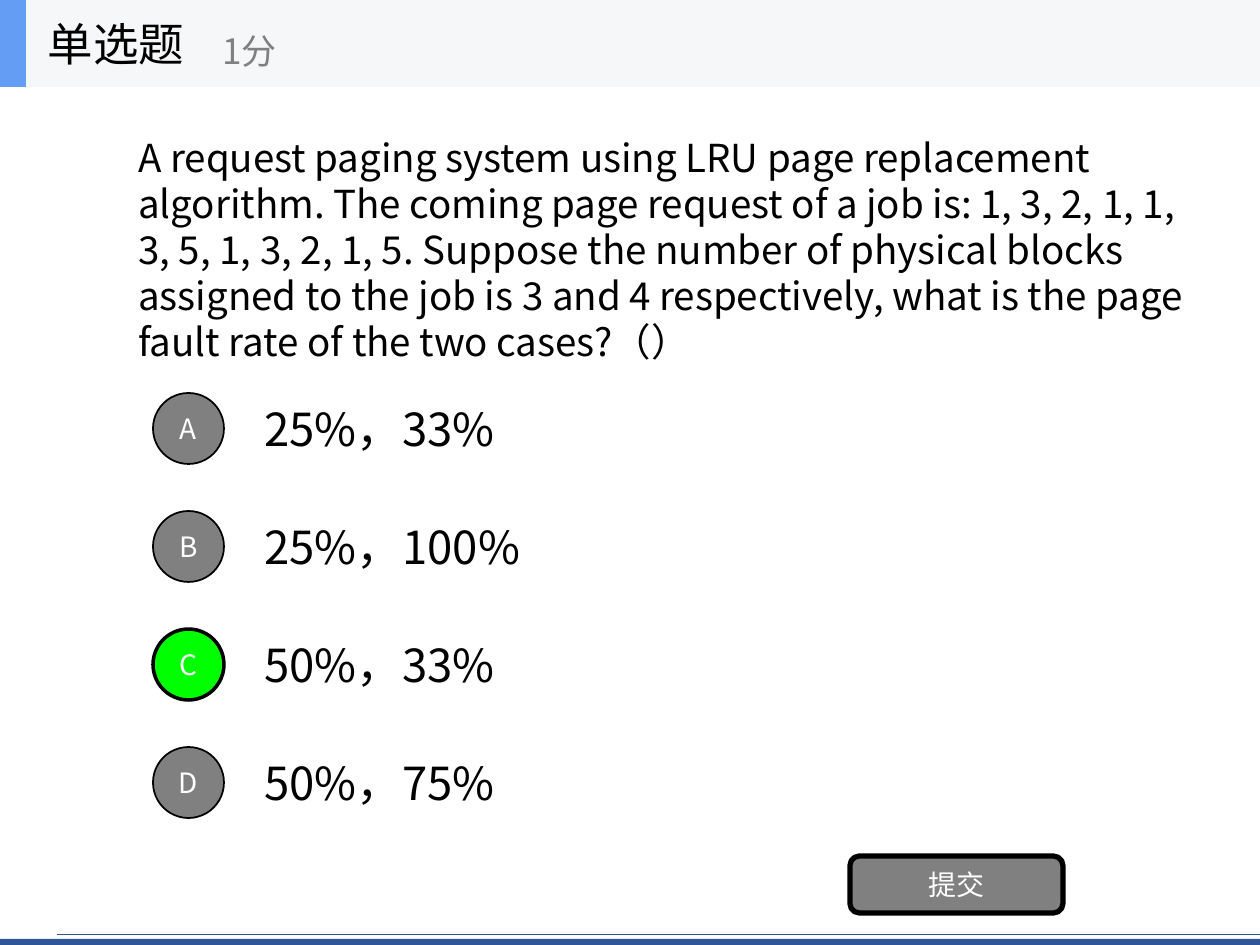
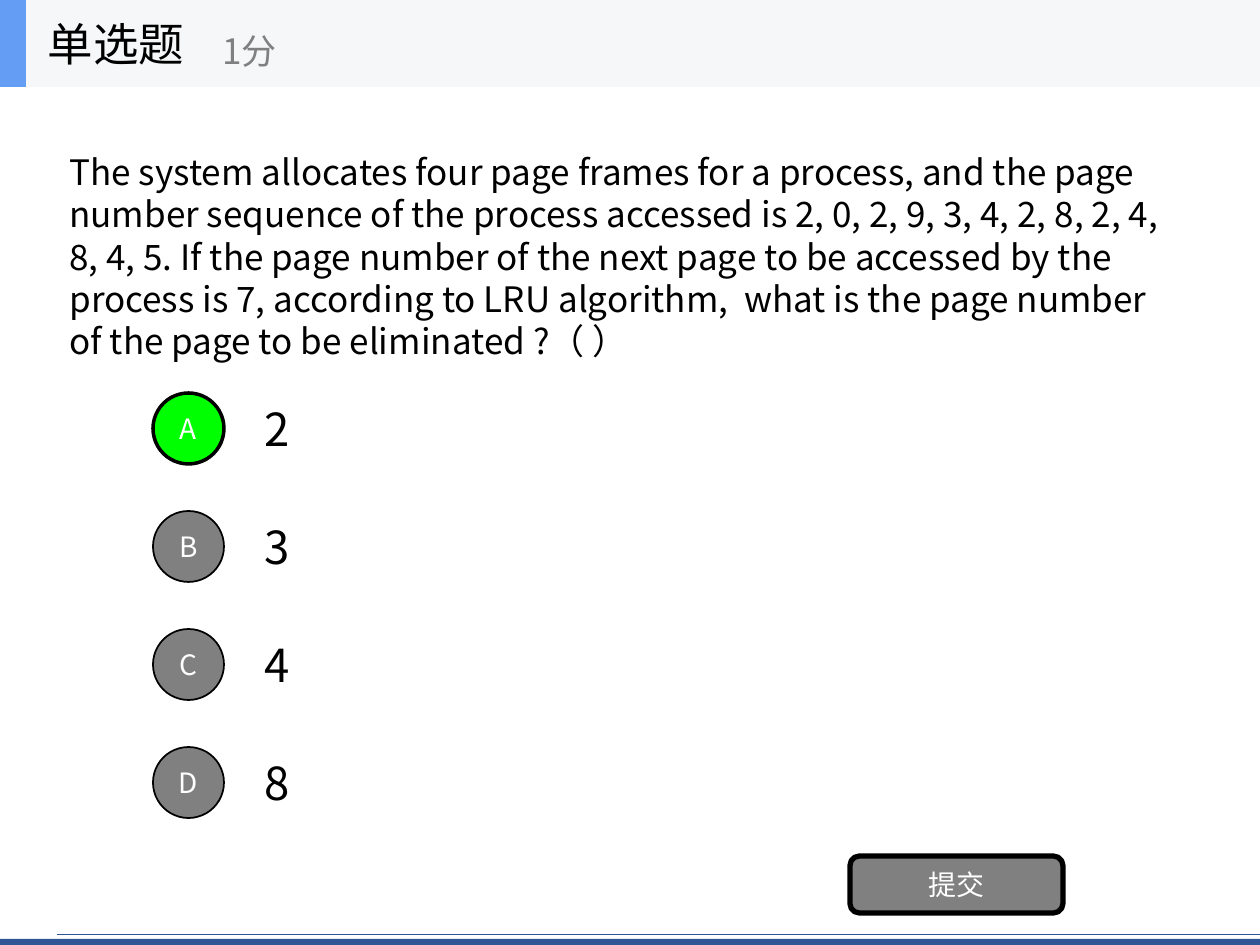
from lxml.etree import SubElement
from pptx import Presentation
from pptx.dml.color import RGBColor
from pptx.enum.shapes import MSO_CONNECTOR as LINK, MSO_SHAPE as SHAPE
from pptx.enum.text import MSO_ANCHOR as ANCHOR, MSO_AUTO_SIZE as FIT, PP_ALIGN as ALIGN
from pptx.oxml.ns import qn
from pptx.util import Inches, Pt

PX = Inches(10) / 1260
FONT = "Noto Sans CJK SC"
BLACK = RGBColor(0x00, 0x00, 0x00)
WHITE = RGBColor(0xFF, 0xFF, 0xFF)
GRAY = RGBColor(0x80, 0x80, 0x80)
GREEN = RGBColor(0x00, 0xFF, 0x00)
PALE = RGBColor(0xF6, 0xF7, 0xF8)
BLUE = RGBColor(0x63, 0x9E, 0xF4)
NAVY = RGBColor(0x2F, 0x55, 0x97)

HEAD = 87    # header height
TOP = 384    # first option
STEP = 118   # option pitch
ROW = 88     # option height
DOT = 71     # letter circle

QUIZ = [
    {
        "ask": "A request paging system using LRU page replacement algorithm. "
               "The coming page request of a job is: 1, 3, 2, 1, 1, 3, 5, 1, 3, 2, 1, 5. "
               "Suppose the number of physical blocks assigned to the job is 3 and 4 "
               "respectively, what is the page fault rate of the two cases?（）",
        "area": (126, 87, 1071, 324),
        "size": 22,
        "options": ["25%，33%", "25%，100%", "50%，33%", "50%，75%"],
        "key": "C",
    },
    {
        "ask": "The system allocates four page frames for a process, and the page number "
               "sequence of the process accessed is 2, 0, 2, 9, 3, 4, 2, 8, 2, 4, 8, 4, 5. "
               "If the page number of the next page to be accessed by the process is 7, "
               "according to LRU algorithm,  what is the page number of the page to be "
               "eliminated ?（ ）",
        "area": (57, 93, 1133, 326),
        "size": 20,
        "options": ["2", "3", "4", "8"],
        "key": "A",
    },
]


def write(shape, text, size, color=BLACK, align=ALIGN.LEFT):
    frame = shape.text_frame
    frame.word_wrap = True
    frame.auto_size = FIT.NONE
    frame.vertical_anchor = ANCHOR.MIDDLE
    para = frame.paragraphs[0]
    para.alignment = align
    run = para.add_run()
    run.text = text
    run.font.size = Pt(size)
    run.font.color.rgb = color
    run.font.name = FONT
    SubElement(run.font._element, qn("a:ea")).set("typeface", FONT)
    return para


def block(shapes, kind, area, fill, edge=0):
    """Add a filled shape, outlined in black when edge is given in points."""
    shape = shapes.add_shape(kind, *[round(v * PX) for v in area])
    shape.shadow.inherit = False
    shape.fill.solid()
    shape.fill.fore_color.rgb = fill
    if edge:
        shape.line.color.rgb = BLACK
        shape.line.width = Pt(edge)
    else:
        shape.line.fill.background()
    return shape


deck = Presentation()
deck.slide_width, deck.slide_height = Inches(10), Inches(7.5)
layout = deck.slide_layouts[5]
slides = [deck.slides.add_slide(layout) for quiz in QUIZ]

# Bands shared by all slides: drawn once, then moved to the layout
shapes = slides[0].shapes
rule = shapes.add_connector(LINK.STRAIGHT, *[round(v * PX) for v in (57, 934, 1260, 934)])
rule.line.color.rgb = NAVY
rule.line.width = Pt(0.5)
SubElement(rule.element.spPr, qn("a:effectLst"))
bands = [
    block(shapes, SHAPE.RECTANGLE, (0, 939, 1260, 6), NAVY),
    rule,
    block(shapes, SHAPE.RECTANGLE, (0, 0, 1260, HEAD), PALE),
    block(shapes, SHAPE.RECTANGLE, (0, 0, 26, HEAD), BLUE),
]
for num, band in enumerate(bands, 20):
    band.element.xpath(".//p:cNvPr")[0].set("id", str(num))
    layout.shapes.element.append(band.element)

for slide, quiz in zip(slides, QUIZ):
    shapes = slide.shapes
    title = shapes.title
    title.left, title.top, title.width, title.height = [
        round(v * PX) for v in (35, 0, 262, HEAD)]
    write(title, "单选题", 26)
    score = shapes.add_textbox(*[round(v * PX) for v in (210, 15, 315, 71)])
    write(score, "1分", 20, GRAY)

    ask = shapes.add_textbox(*[round(v * PX) for v in quiz["area"]])
    para = write(ask, quiz["ask"], quiz["size"])
    para.line_spacing = Pt(quiz["size"] * 1.2)

    for num, (letter, text) in enumerate(zip("ABCD", quiz["options"])):
        top = TOP + num * STEP
        option = shapes.add_textbox(*[round(v * PX) for v in (252, top, 882, ROW)])
        write(option, text, 26)
        right = letter == quiz["key"]
        dot = block(shapes, SHAPE.OVAL, (153, top + 9, DOT, DOT),
                    GREEN if right else GRAY, 2 if right else 1)
        write(dot, letter, 16, WHITE, ALIGN.CENTER)

    send = block(shapes, SHAPE.ROUNDED_RECTANGLE, (850, 856, 213, 57), GRAY, 3)
    write(send, "提交", 16, WHITE, ALIGN.CENTER)

deck.save("out.pptx")
